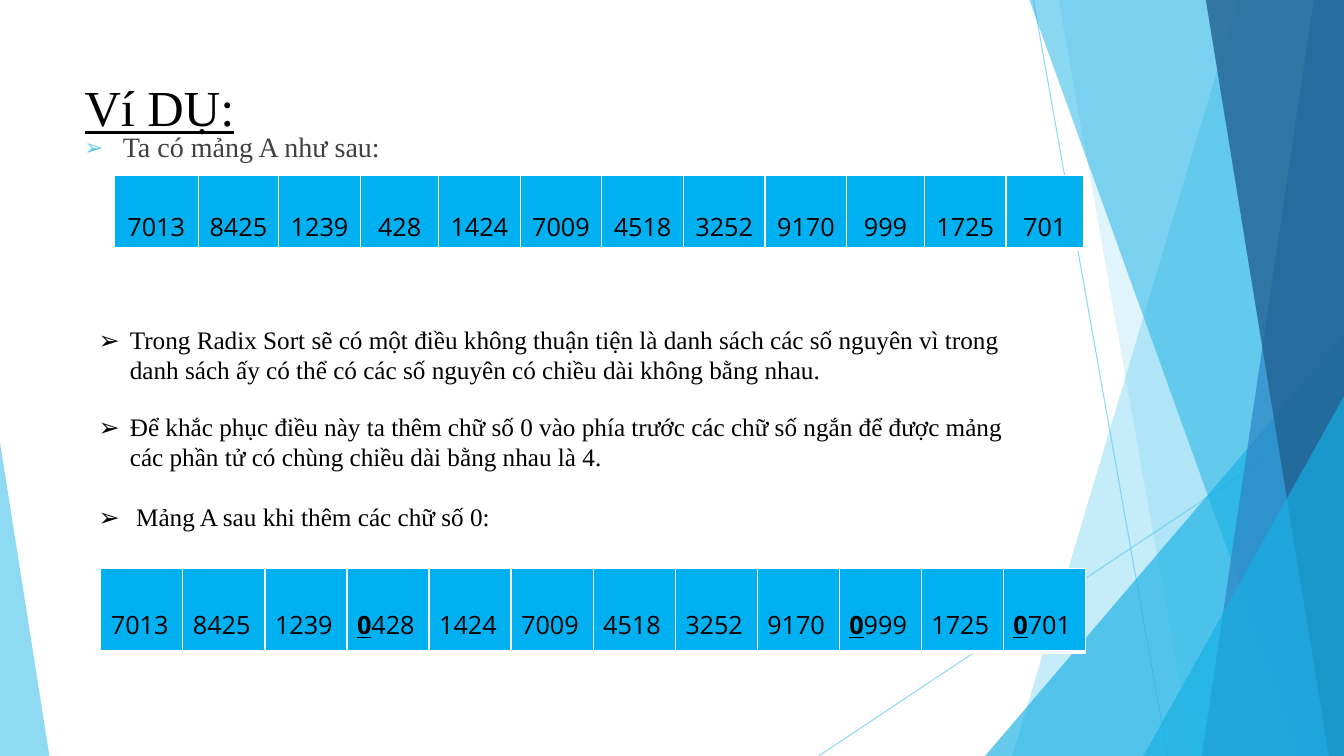
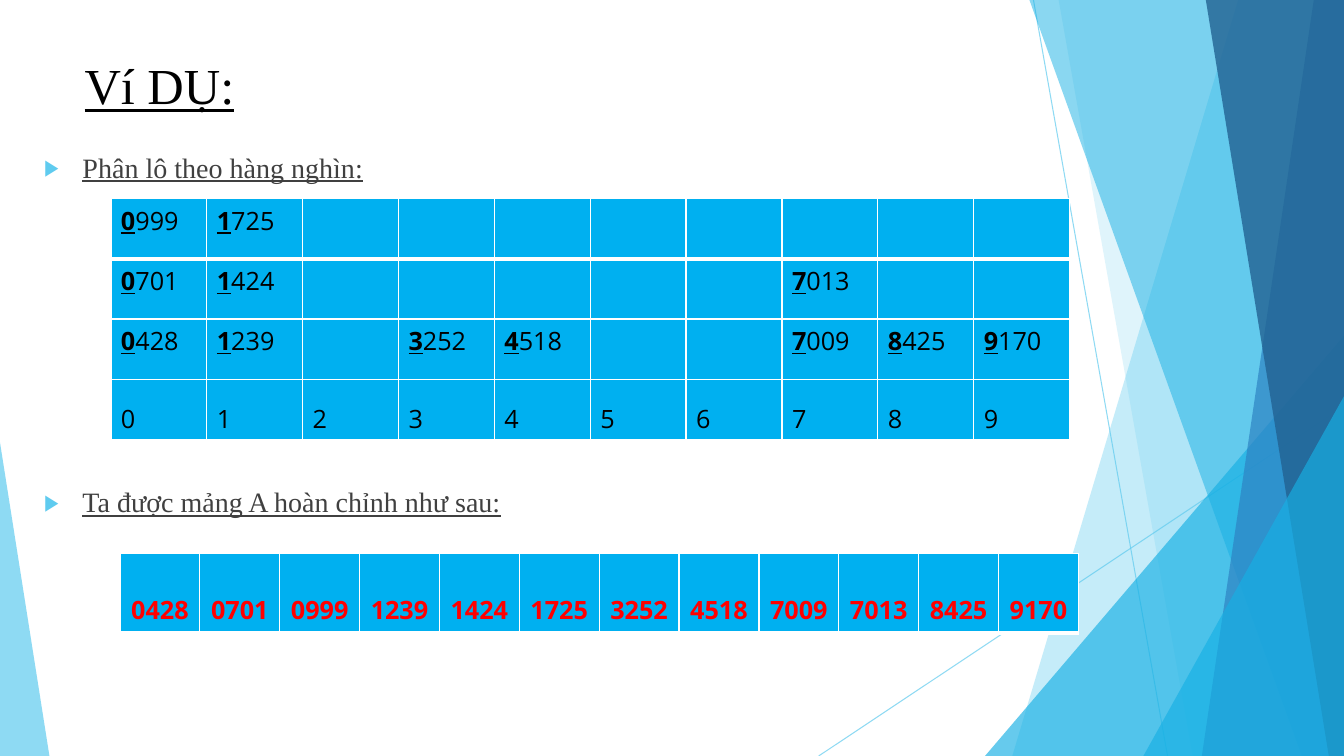
from lxml import etree
from pptx import Presentation
from pptx.dml.color import RGBColor
from pptx.enum import shapes, text
from pptx.oxml.ns import qn
from pptx.util import Inches, Pt

SERIF, SANS = "Times New Roman", "Open Sans"
BLACK, GREY, WHITE, RED = "000000", "404040", "FFFFFF", "FF0000"
SKY, CYAN, BLUE, NAVY, CELL = "5FCBEF", "17B0E4", "2E83C3", "226292", "00B0F0"
CENTER = text.PP_ALIGN.CENTER
ARROW, WEDGE = "➢", "▶"
WIDTH, HEIGHT = 13.33, 7.5
TITLE_LEFT, TITLE_WIDTH = 0.74, 9.4

NUMBERS = [7013, 8425, 1239, 428, 1424, 7009, 4518, 3252, 9170, 999, 1725, 701]
DIGITS = 4
BASE = 10
LEAD_BULLET = {"bullet_color": SKY, "bullet_size": 80, "indent": 0.38}
LEAD_TEXT = {"size": 20, "hue": GREY}


def color(value):
    """Turn a hex string into a colour."""
    return RGBColor.from_string(value)


def set_alpha(item, percent):
    """Make the colours of a shape partly transparent."""
    for node in item._element.spPr.iter(qn("a:srgbClr")):
        etree.SubElement(node, qn("a:alpha"), val=str(percent * 1000))


def write(para, words, size=18, font=SERIF, hue=BLACK, bold=False,
          underline=False, align=None, spacing=None, before=None):
    """Add a formatted run to a paragraph."""
    if align is not None:
        para.alignment = align
    if spacing is not None:
        para.line_spacing = spacing
    if before is not None:
        para.space_before = Pt(before)
    span = para.add_run()
    span.text = words
    span.font.size = Pt(size)
    span.font.name = font
    span.font.bold = bold
    span.font.underline = underline
    span.font.color.rgb = color(hue)


def add_bullet(para, char, bullet_color=BLACK, bullet_size=100, indent=0.31):
    """Give a paragraph a bullet with a hanging indent."""
    props = para._p.get_or_add_pPr()
    props.set("marL", str(Inches(indent)))
    props.set("indent", str(-Inches(indent)))
    holder = etree.SubElement(props, qn("a:buClr"))
    etree.SubElement(holder, qn("a:srgbClr"), val=bullet_color)
    etree.SubElement(props, qn("a:buSzPct"), val=str(bullet_size * 1000))
    etree.SubElement(props, qn("a:buFont"), typeface=SANS)
    etree.SubElement(props, qn("a:buChar"), char=char)


def add_frame(page, box):
    """Add a wrapping text box and return its text frame."""
    frame = page.shapes.add_textbox(*map(Inches, box)).text_frame
    frame.word_wrap = True
    return frame


def add_title(page, top, height, **style):
    """Write the underlined slide title."""
    frame = add_frame(page, (TITLE_LEFT, top, TITLE_WIDTH, height))
    write(frame.paragraphs[0], "Ví DỤ:", size=36, underline=True, **style)


def add_list(page, box, items, char, bullet=None, **style):
    """Write bulleted items, each given with the gap before it."""
    frame = add_frame(page, box)
    for index, (words, gap) in enumerate(items):
        para = frame.add_paragraph() if index else frame.paragraphs[0]
        write(para, words, before=gap, **style)
        add_bullet(para, char, **(bullet or {}))


def add_ray(page, start, end):
    """Draw one thin translucent line."""
    ray = page.shapes.add_connector(
        shapes.MSO_CONNECTOR.STRAIGHT, *map(Inches, start + end))
    ray.line.color.rgb = color(SKY)
    ray.line.width = Pt(0.75)
    set_alpha(ray, 70)
    etree.SubElement(ray._element.spPr, qn("a:effectLst"))


def paint(facet, hue, alpha):
    """Fill a facet with a translucent colour and no outline."""
    facet.shadow.inherit = False
    facet.fill.solid()
    facet.fill.fore_color.rgb = color(hue)
    facet.line.fill.background()
    set_alpha(facet, alpha)


def add_band(page, top_x, bottom_x, hue, alpha):
    """Fill from a slanted left edge to the right side of the slide."""
    builder = page.shapes.build_freeform(Inches(top_x), 0)
    corners = [(WIDTH, 0), (WIDTH, HEIGHT), (bottom_x, HEIGHT)]
    builder.add_line_segments([tuple(map(Inches, corner)) for corner in corners])
    paint(builder.convert_to_shape(), hue, alpha)


def add_corner(page, left, width, height, apex, hue, alpha):
    """Stand a right triangle on the bottom of the slide."""
    box = (left, HEIGHT - height, width, height)
    corner = page.shapes.add_shape(shapes.MSO_SHAPE.ISOSCELES_TRIANGLE, *map(Inches, box))
    corner.adjustments[0] = apex
    paint(corner, hue, alpha)


def add_backdrop(page):
    """Draw the rays and facets shared by all slides, from back to front."""
    add_ray(page, (10.25, 0), (11.58, HEIGHT))
    add_ray(page, (WIDTH, 4.03), (8.12, HEIGHT))
    add_band(page, 12.28, 10.04, SKY, 36)
    add_band(page, 10.5, 11.83, SKY, 20)
    add_corner(page, 9.77, 3.56, 4.17, 1, CYAN, 66)
    add_band(page, 10.21, 12.91, CYAN, 50)
    add_band(page, 13.03, 11.92, BLUE, 70)
    add_band(page, 11.96, 13.18, NAVY, 80)
    add_corner(page, 11.34, 1.99, 3.57, 1, CYAN, 66)
    add_corner(page, 0, 0.49, 3.11, 0, SKY, 70)


def add_borders(cell, row):
    """Give a cell white borders, thick below the first row."""
    thin, thick = 1, 3
    widths = {"L": thin, "R": thin,
              "T": thick if row == 1 else thin,
              "B": thick if row == 0 else thin}
    props = cell._tc.get_or_add_tcPr()
    for side, width in widths.items():
        line = etree.SubElement(props, qn("a:ln" + side), w=str(Pt(width)))
        fill = etree.SubElement(line, qn("a:solidFill"))
        etree.SubElement(fill, qn("a:srgbClr"), val=WHITE)


def fill_cell(cell, value, **style):
    """Colour a cell and write its number; digits before a bar stand out."""
    cell.fill.solid()
    cell.fill.fore_color.rgb = color(CELL)
    para = cell.text_frame.paragraphs[0]
    marked, _, rest = value.rpartition("|")
    if marked:
        write(para, marked, font=SANS, bold=True, underline=True)
    if rest:
        write(para, rest, font=SANS, **style)


def add_grid(page, box, rows, widths=None, tight=False, spacings=(2,), **style):
    """Draw a table of numbers with one line spacing for each row."""
    width, height = box[2:]
    columns = len(rows[0])
    table = page.shapes.add_table(len(rows), columns, *map(Inches, box)).table
    table.first_row = table.horz_banding = False
    for column, size in zip(table.columns, widths or [width / columns] * columns):
        column.width = Inches(size)
    for r, (values, spacing) in enumerate(zip(rows, spacings)):
        table.rows[r].height = Inches(height / len(rows))
        for c, value in enumerate(values):
            cell = table.cell(r, c)
            add_borders(cell, r)
            fill_cell(cell, value, spacing=spacing, **style)
            if tight:
                cell.margin_left = cell.margin_right = Inches(0.07)
                cell.margin_top = cell.margin_bottom = 0


def pad(number):
    """Fill a number up with zeros to the common length."""
    return str(number).zfill(DIGITS)


def mark(number):
    """Pad a number and set its first digit apart with a bar."""
    digits = pad(number)
    return digits[0] + "|" + digits[1:]


def stack_buckets(ordered):
    """Pile numbers up by first digit, the smallest lowest, over the digit labels."""
    buckets = [[mark(n) for n in ordered if pad(n)[0] == str(digit)]
               for digit in range(BASE)]
    levels = reversed(range(max(map(len, buckets))))
    rows = [[pile[level] if level < len(pile) else "" for pile in buckets]
            for level in levels]
    return rows + [[str(digit) for digit in range(BASE)]]


def build_padding(page):
    """Show the array before and after zeros are added."""
    add_title(page, 0.11, 0.8, spacing=2)
    add_list(page, (TITLE_LEFT, 1.24, TITLE_WIDTH, 0.5), [("Ta có mảng A như sau:", 10)],
             ARROW, LEAD_BULLET, **LEAD_TEXT)
    widths = [0.84, 0.79, 0.82, 0.77] + [0.81] * 5 + [0.77, 0.81, 0.77]
    add_grid(page, (1.13, 1.74, 9.65, 0.73), [[str(n) for n in NUMBERS]], widths,
             tight=True, align=CENTER)
    add_list(page, (0.88, 3.17, 9.26, 2.46), [
        ("Trong Radix Sort sẽ có một điều không thuận tiện là danh sách các số nguyên "
         "vì trong danh sách ấy có thể có các số nguyên có chiều dài không bằng nhau.", 0),
        ("Để khắc phục điều này ta thêm chữ số 0 vào phía trước các chữ số ngắn để được "
         "mảng các phần tử có chùng chiều dài bằng nhau là 4.", 19),
        ("\u00a0Mảng A sau khi thêm các chữ số 0:", 21)], ARROW)
    padded = [str(n) if len(str(n)) == DIGITS else mark(n) for n in NUMBERS]
    add_grid(page, (1, 5.64, 9.77, 0.83), [padded])


def build_sorting(page):
    """Show the thousands buckets and the sorted array."""
    ordered = sorted(NUMBERS)
    add_title(page, 0.49, 0.96)
    add_list(page, (0.34, 1.44, 11.54, 5.16),
             [("Phân lô theo hàng nghìn:", 10), ("Ta được mảng A hoàn chỉnh như sau:", 215)],
             WEDGE, LEAD_BULLET, underline=True, **LEAD_TEXT)
    add_grid(page, (1.1, 1.97, 9.51, 2.39), stack_buckets(ordered), spacings=(1, 1, 1, 1.5))
    add_grid(page, (1.19, 5.49, 9.51, 0.79), [[pad(n) for n in ordered]],
             hue=RED, bold=True, align=CENTER)


deck = Presentation()
deck.slide_width, deck.slide_height = Inches(WIDTH), Inches(HEIGHT)
blank = deck.slide_layouts[6]
for build in (build_padding, build_sorting):
    page = deck.slides.add_slide(blank)
    add_backdrop(page)
    build(page)
deck.save("out.pptx")
